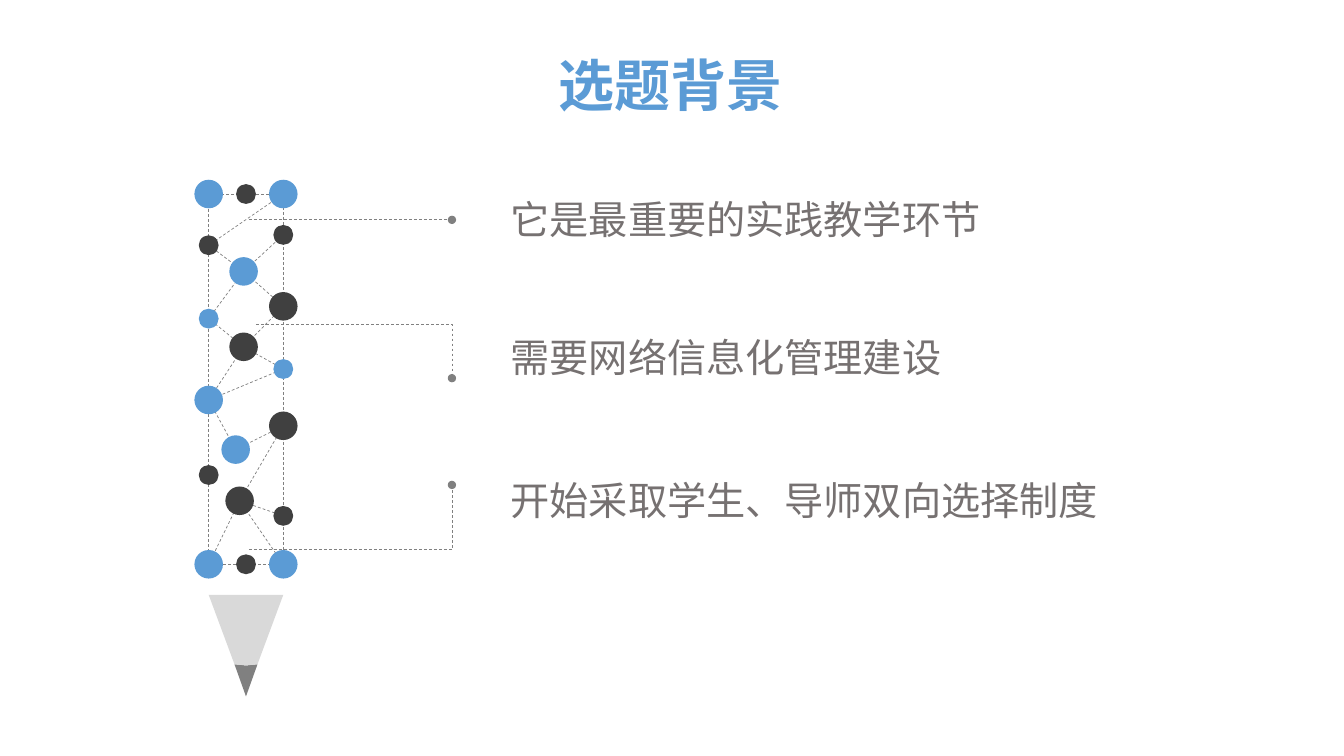
from lxml.etree import SubElement
from pptx import Presentation
from pptx.dml.color import RGBColor
from pptx.enum.dml import MSO_LINE_DASH_STYLE as Dash
from pptx.enum.shapes import MSO_CONNECTOR, MSO_SHAPE
from pptx.enum.text import MSO_AUTO_SIZE
from pptx.oxml.ns import qn
from pptx.util import Cm, Pt

BLUE = RGBColor(0x5B, 0x9B, 0xD5)
DARK = RGBColor(0x40, 0x40, 0x40)
GRAY = RGBColor(0x80, 0x80, 0x80)
LIGHT = RGBColor(0xD9, 0xD9, 0xD9)
TEXT_GRAY = RGBColor(0x76, 0x71, 0x71)
FONT = "Noto Sans CJK SC"

TITLE = "选题背景"
# text, top (cm), width (cm)
POINTS = [
    ("它是最重要的实践教学环节", 4.8, 12.47),
    ("需要网络信息化管理建设", 8.28, 11.48),
    ("开始采取学生、导师双向选择制度", 11.89, 15.47),
]
POINTS_LEFT = 12.62

# Pencil outline (cm)
LEFT, MIDDLE, RIGHT = 5.26, 6.2, 7.14
TOP, BOTTOM = 4.89, 14.22
BIG, SMALL = 0.72, 0.5

# name: (centre x, centre y, diameter, colour)
NODES = {
    "top left": (LEFT, TOP, BIG, BLUE),
    "top middle": (MIDDLE, TOP, SMALL, DARK),
    "top right": (RIGHT, TOP, BIG, BLUE),
    "left 1": (LEFT, 6.18, SMALL, DARK),
    "left 2": (LEFT, 8.03, SMALL, BLUE),
    "left 3": (LEFT, 10.08, BIG, BLUE),
    "left 4": (LEFT, 11.97, SMALL, DARK),
    "inner 1": (6.14, 6.84, BIG, BLUE),
    "inner 2": (6.14, 8.74, BIG, DARK),
    "inner 3": (5.94, 11.33, BIG, BLUE),
    "inner 4": (6.04, 12.62, BIG, DARK),
    "right 1": (RIGHT, 5.92, SMALL, DARK),
    "right 2": (RIGHT, 7.72, BIG, DARK),
    "right 3": (RIGHT, 9.3, SMALL, BLUE),
    "right 4": (RIGHT, 10.73, BIG, DARK),
    "right 5": (RIGHT, 13.0, SMALL, DARK),
    "bottom left": (LEFT, BOTTOM, BIG, BLUE),
    "bottom middle": (MIDDLE, BOTTOM, SMALL, DARK),
    "bottom right": (RIGHT, BOTTOM, BIG, BLUE),
}
LINKS = [
    ["top right", "left 1", "inner 1", "right 2", "inner 2", "left 3",
     "inner 3", "right 4", "inner 4", "bottom right"],
    ["bottom left", "inner 4", "right 5"],
    ["left 3", "right 3", "inner 2", "left 2", "inner 1", "right 1"],
]

LEADER_END = 11.39
STRAIGHT_LEADER = [(6.27, 5.54), (LEADER_END, 5.54)]
BENT_LEADERS = [
    [(6.45, 8.18), (LEADER_END, 8.18), (LEADER_END, 9.53)],
    [(6.27, 13.85), (LEADER_END, 13.85), (LEADER_END, 12.22)],
]

SHOULDER, LEAD_TOP, LEAD_SAG, POINT = 14.99, 16.74, 16.77, 17.55
LEAD_EDGE = [(5.91, LEAD_TOP), (MIDDLE, LEAD_SAG), (6.49, LEAD_TOP)]
WOOD = [(LEFT, SHOULDER), *LEAD_EDGE, (RIGHT, SHOULDER)]
LEAD = [*LEAD_EDGE, (MIDDLE, POINT)]

prs = Presentation()
prs.slide_width, prs.slide_height = Cm(33.87), Cm(19.05)
slide = prs.slides.add_slide(prs.slide_layouts[6])
shapes = slide.shapes


def add_text(text, left, top, width, height, size, color, bold=False):
    box = shapes.add_textbox(Cm(left), Cm(top), Cm(width), Cm(height))
    frame = box.text_frame
    frame.text = text
    frame.word_wrap = False
    frame.auto_size = MSO_AUTO_SIZE.SHAPE_TO_FIT_TEXT
    font = frame.paragraphs[0].runs[0].font
    font.size, font.bold, font.name = Pt(size), bold, FONT
    font.color.rgb = color
    SubElement(font._element, qn("a:ea"), typeface=FONT)


def style_dashed(line, dot_end=False):
    line.color.rgb = GRAY
    line.width = Pt(0.5)
    line.dash_style = Dash.DASH
    if dot_end:
        SubElement(line._get_or_add_ln(), qn("a:tailEnd"), type="oval")


def add_path(points, close=False):
    (x, y), *rest = [(Cm(px), Cm(py)) for px, py in points]
    builder = shapes.build_freeform(x, y)
    builder.add_line_segments(rest, close=close)
    path = builder.convert_to_shape()
    path.shadow.inherit = False
    return path


def add_dashed_path(points, dot_end=False):
    path = add_path(points)
    path.fill.background()
    style_dashed(path.line, dot_end)


def fill_plain(shape, color):
    shape.shadow.inherit = False
    shape.fill.solid()
    shape.fill.fore_color.rgb = color
    shape.line.fill.background()


for text, top, width in POINTS:
    add_text(text, POINTS_LEFT, top, width, 1.45, 28, TEXT_GRAY)
add_text(TITLE, 13.82, 1.14, 6.22, 1.96, 40, BLUE, bold=True)

for leader in BENT_LEADERS:
    add_dashed_path(leader, dot_end=True)
start, end = STRAIGHT_LEADER
straight = shapes.add_connector(MSO_CONNECTOR.STRAIGHT, *map(Cm, start + end))
style_dashed(straight.line, dot_end=True)
SubElement(straight._element.spPr, qn("a:effectLst"))

body = shapes.add_shape(MSO_SHAPE.RECTANGLE, Cm(LEFT), Cm(TOP),
                        Cm(RIGHT - LEFT), Cm(BOTTOM - TOP))
body.shadow.inherit = False
body.fill.background()
style_dashed(body.line)

for link in LINKS:
    add_dashed_path([NODES[name][:2] for name in link])
for x, y, size, color in NODES.values():
    node = shapes.add_shape(MSO_SHAPE.OVAL, Cm(x - size / 2), Cm(y - size / 2),
                            Cm(size), Cm(size))
    fill_plain(node, color)

for outline, color in [(LEAD, GRAY), (WOOD, LIGHT)]:
    fill_plain(add_path(outline, close=True), color)

prs.save("out.pptx")
